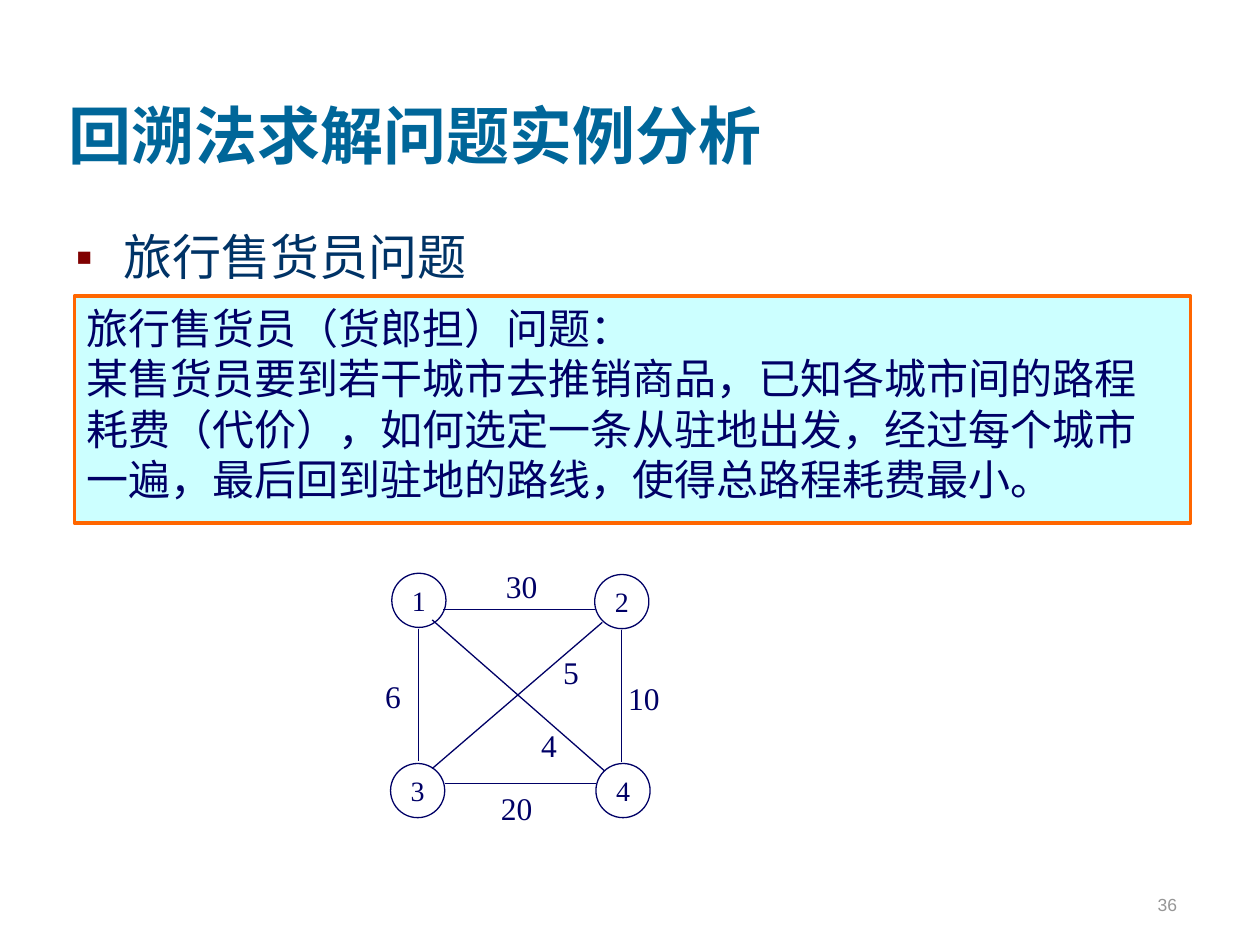
from lxml.etree import SubElement
from pptx import Presentation
from pptx.dml.color import RGBColor
from pptx.enum.shapes import MSO_CONNECTOR as Connector, MSO_SHAPE as Shape
from pptx.enum.text import MSO_ANCHOR as Anchor, MSO_AUTO_SIZE as AutoSize, PP_ALIGN as Align
from pptx.oxml.ns import qn
from pptx.util import Inches, Pt

COLORS = {
    "title": "006699",
    "topic": "003366",
    "bullet": "800000",
    "ink": "000066",
    "panel": "CCFFFF",
    "border": "FF6600",
    "number": "969696",
}
SERIF = "Times New Roman"
NODE_SIZE = 0.43
LABEL_SIZE = 0.3
NODES = [("1", 0.14, 0.05), ("2", 1.75, 0.06), ("3", 0.13, 1.56), ("4", 1.76, 1.56)]
EDGES = [
    (0.55, 0.34, 1.75, 0.34),
    (0.35, 0.49, 0.35, 1.54),
    (0.56, 1.72, 1.76, 1.72),
    (1.96, 0.5, 1.96, 1.55),
    (0.46, 0.42, 1.83, 1.62),
    (0.46, 1.6, 1.81, 0.44),
]
WEIGHTS = [
    ("30", 1.02, 0, Align.CENTER),
    ("6", 0, 0.87, Align.CENTER),
    ("20", 0.98, 1.76, Align.CENTER),
    ("10", 1.99, 0.89, Align.CENTER),
    ("5", 1.5, 0.68, Align.LEFT),
    ("4", 1.15, 1.26, Align.RIGHT),
]


def color(name):
    return RGBColor.from_string(COLORS[name])


def write(frame, lines, font, size, ink, align=Align.LEFT, anchor=Anchor.TOP, inset=None, bold=False):
    frame.word_wrap = True
    frame.auto_size = AutoSize.NONE
    frame.vertical_anchor = anchor
    if inset is not None:
        frame.margin_left = frame.margin_right = Inches(inset)
        frame.margin_top = frame.margin_bottom = Inches(inset)
    frame.text = "\n".join(lines)
    for paragraph in frame.paragraphs:
        paragraph.alignment = align
        paragraph.space_before = Pt(0)
        paragraph.font.name = font
        paragraph.font.size = Pt(size)
        paragraph.font.bold = bold
        paragraph.font.color.rgb = color(ink)


def place(holder, box):
    holder.left, holder.top, holder.width, holder.height = map(Inches, box)


def add_heading(slide, box):
    heading = slide.shapes.title
    place(heading, box)
    write(heading.text_frame, ["回溯法求解问题实例分析"], "Cambria", 36, "title",
          anchor=Anchor.BOTTOM, bold=True)


def add_topic(slide, box):
    topic = slide.placeholders[1]
    place(topic, box)
    write(topic.text_frame, ["旅行售货员问题"], "Cambria", 28, "topic")
    properties = topic.text_frame.paragraphs[0]._p.get_or_add_pPr()
    properties.set("marL", str(Inches(0.38)))
    properties.set("indent", str(Inches(-0.38)))
    bullet_color = SubElement(properties, qn("a:buClr"))
    SubElement(bullet_color, qn("a:srgbClr"), val=COLORS["bullet"])
    SubElement(properties, qn("a:buFont"), typeface="Arial")
    SubElement(properties, qn("a:buChar"), char="▪")
    defaults = properties.find(qn("a:defRPr"))
    if defaults is not None:
        properties.append(defaults)


def add_statement(slide, box):
    statement = slide.shapes.add_shape(Shape.RECTANGLE, *map(Inches, box))
    statement.shadow.inherit = False
    statement.fill.solid()
    statement.fill.fore_color.rgb = color("panel")
    statement.line.color.rgb = color("border")
    statement.line.width = Pt(2)
    write(statement.text_frame, [
        "旅行售货员（货郎担）问题：",
        "某售货员要到若干城市去推销商品，已知各城市间的路程耗费（代价），"
        "如何选定一条从驻地出发，经过每个城市一遍，最后回到驻地的路线，使得总路程耗费最小。",
    ], SERIF, 24, "ink")


def add_graph(slide, left, top):
    graph = slide.shapes.add_group_shape().shapes
    for city, x, y in NODES:
        node = graph.add_shape(Shape.OVAL, Inches(left + x), Inches(top + y),
                               Inches(NODE_SIZE), Inches(NODE_SIZE))
        node.shadow.inherit = False
        node.fill.background()
        node.line.color.rgb = color("ink")
        node.line.width = Pt(0.75)
        write(node.text_frame, [city], SERIF, 16, "ink", Align.CENTER, Anchor.MIDDLE, 0)
    for x1, y1, x2, y2 in EDGES:
        edge = graph.add_connector(Connector.STRAIGHT, Inches(left + x1), Inches(top + y1),
                                   Inches(left + x2), Inches(top + y2))
        edge.line.color.rgb = color("ink")
        edge.line.width = Pt(0.75)
        SubElement(edge._element.spPr, qn("a:effectLst"))
    for cost, x, y, align in WEIGHTS:
        weight = graph.add_textbox(Inches(left + x), Inches(top + y),
                                   Inches(LABEL_SIZE), Inches(LABEL_SIZE))
        write(weight.text_frame, [cost], SERIF, 18, "ink", align, inset=0)


def add_page_number(slide, box):
    number = slide.shapes.add_textbox(*map(Inches, box))
    write(number.text_frame, ["36"], "Arial", 10, "number", Align.RIGHT, Anchor.BOTTOM)


def main():
    deck = Presentation()
    deck.slide_width, deck.slide_height = Inches(10), Inches(7.5)
    slide = deck.slides.add_slide(deck.slide_layouts[1])
    add_heading(slide, (0.44, 0.17, 8.5, 1.25))
    add_topic(slide, (0.5, 1.75, 8.94, 4.88))
    add_page_number(slide, (7.36, 6.81, 2.08, 0.5))
    add_statement(slide, (0.59, 2.35, 8.86, 1.8))
    add_graph(slide, 2.97, 4.5)
    deck.save("out.pptx")


if __name__ == "__main__":
    main()
